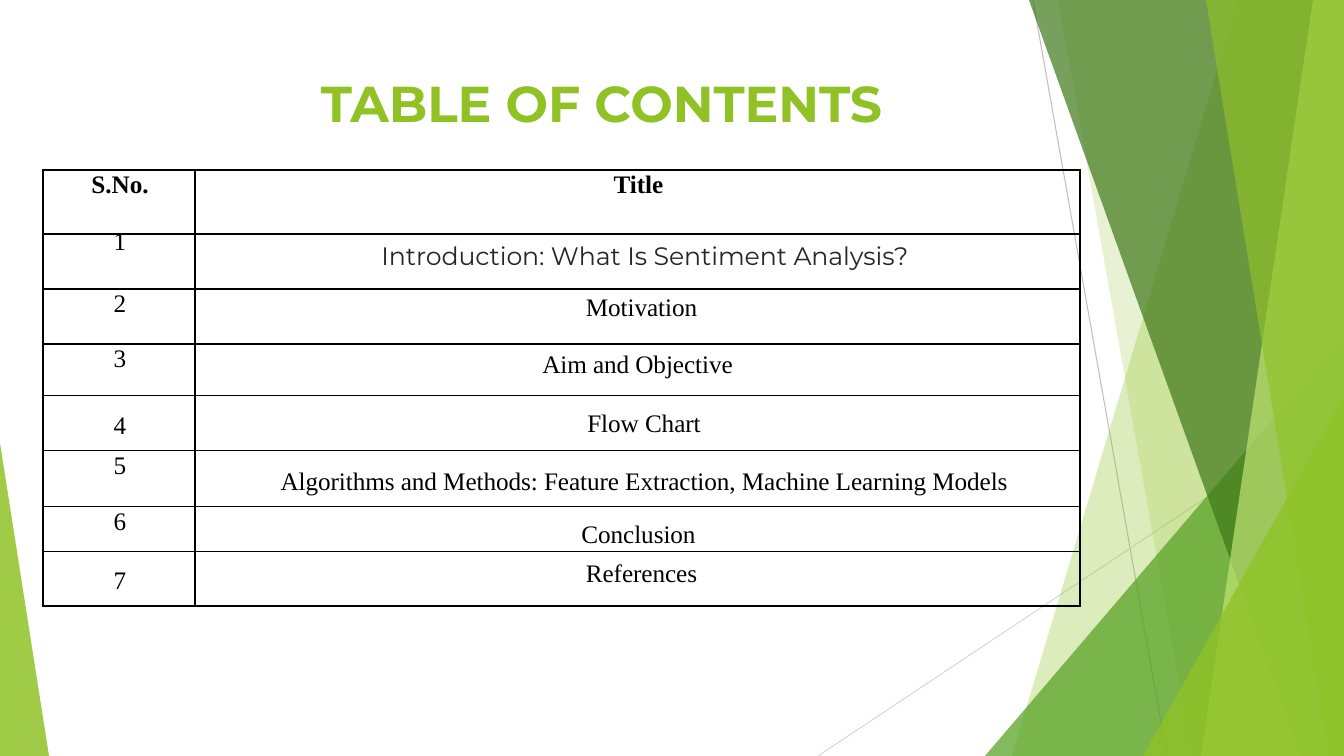
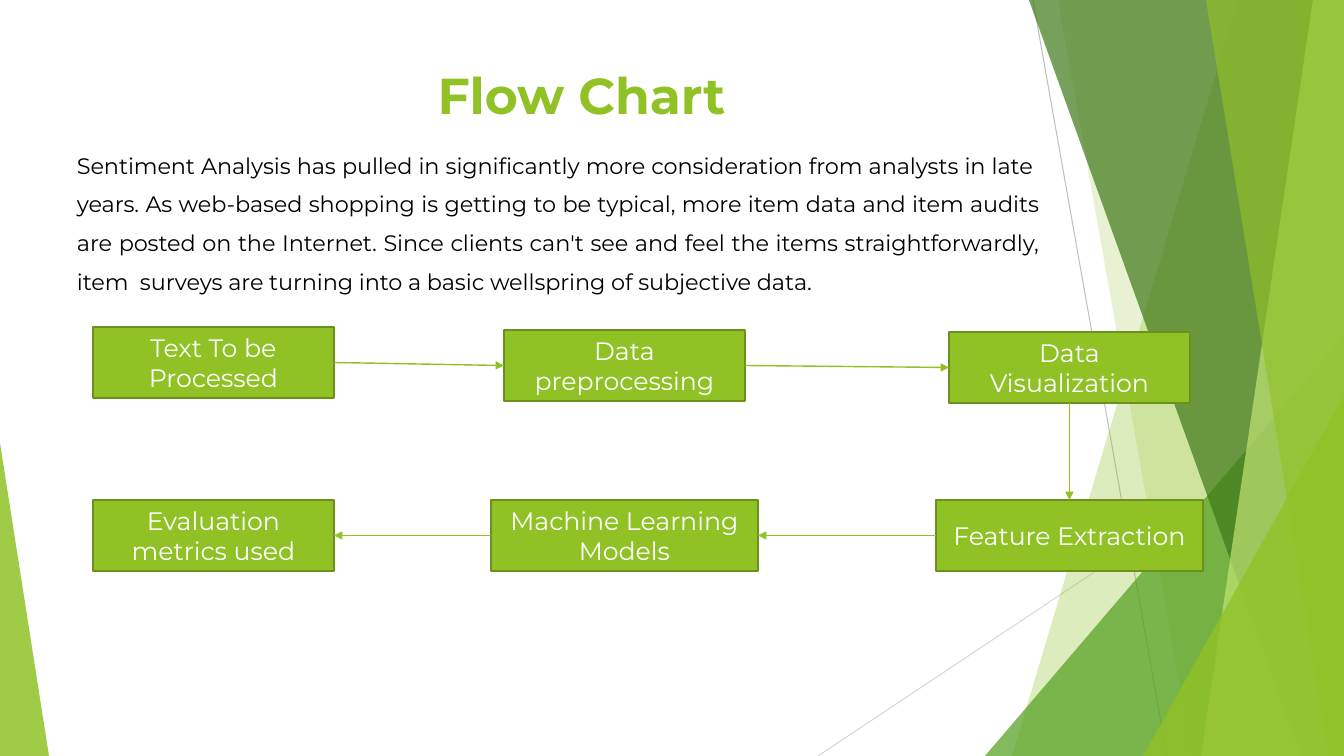
from dataclasses import dataclass
from typing import NamedTuple

from lxml import etree
from pptx import Presentation
from pptx.dml.color import RGBColor
from pptx.enum.shapes import MSO_CONNECTOR, MSO_SHAPE
from pptx.enum.text import MSO_ANCHOR, PP_ALIGN
from pptx.oxml.ns import qn
from pptx.util import Emu, Pt

STRAIGHT = MSO_CONNECTOR.STRAIGHT
RECTANGLE, TRIANGLE = MSO_SHAPE.RECTANGLE, MSO_SHAPE.ISOSCELES_TRIANGLE
CENTER, JUSTIFY = PP_ALIGN.CENTER, PP_ALIGN.JUSTIFY
TOP, MIDDLE = MSO_ANCHOR.TOP, MSO_ANCHOR.MIDDLE
SIDE_TOP, SIDE_LEFT, SIDE_BOTTOM, SIDE_RIGHT = range(4)

PX = 914400 / 100.8
PAGE_WIDTH, PAGE_HEIGHT = 1344, 756


@dataclass(frozen=True)
class Theme:
    accent: str = "90C226"
    accent_dark: str = "6B901C"
    leaf: str = "54A021"
    forest: str = "3F7819"
    lime: str = "C0E474"
    white: str = "FFFFFF"
    ink: str = "000000"
    soft_ink: str = "262626"
    rule_dark: str = "BFBFBF"
    rule_light: str = "D9D9D9"
    sans: str = "Montserrat"
    serif: str = "Times New Roman"
    title_size: int = 36
    body_size: int = 16
    label_size: int = 18
    tight: int = -5


THEME = Theme()


class Box(NamedTuple):
    left: int
    top: int
    width: int
    height: int


class Band(NamedTuple):
    top_x: int
    bottom_x: int
    color: str
    opacity: int


class Wedge(NamedTuple):
    box: Box
    apex: int
    color: str
    opacity: int


FACETS = [
    Band(1238, 1012, THEME.accent, 30),
    Band(1058, 1192, THEME.accent, 20),
    Wedge(Box(985, 336, 359, 420), 1, THEME.leaf, 72),
    Band(1029, 1301, THEME.forest, 70),
    Band(1313, 1201, THEME.lime, 70),
    Band(1206, 1329, THEME.accent, 65),
    Wedge(Box(1143, 396, 201, 360), 1, THEME.accent, 80),
    Wedge(Box(0, 443, 49, 313), 0, THEME.accent, 85),
]

# Row height, title, title's top and left margin
CONTENTS = [
    (55, "Introduction: What Is Sentiment Analysis?", 7, 15),
    (55, "Motivation", 5, 8),
    (52, "Aim and Objective", 7, 0),
    (55, "Flow Chart", 14, 13),
    (56, "Algorithms and Methods: Feature Extraction, Machine Learning Models", 17, 13),
    (44, "Conclusion", 14, 2),
    (55, "References", 9, 8),
]
# Numbers set on exact line spacing, with their top margin
EXACT_NUMBERS = {1: 0, 4: 22, 7: 22}

# Label, middle, top and width of each step, in reading order
STEPS = [
    ("Text To be Processed", 121, 0, 241),
    ("Data preprocessing", 532, 3, 241),
    ("Data Visualization", 977, 5, 241),
    ("Feature Extraction", 977, 173, 267),
    ("Machine Learning Models", 532, 173, 267),
    ("Evaluation metrics used", 121, 173, 241),
]
STEP_HEIGHT = 71
JOINTS = [
    (SIDE_RIGHT, SIDE_LEFT),
    (SIDE_RIGHT, SIDE_LEFT),
    (SIDE_BOTTOM, SIDE_TOP),
    (SIDE_LEFT, SIDE_RIGHT),
    (SIDE_LEFT, SIDE_RIGHT),
]

SUMMARY = (
    "Sentiment Analysis has pulled in significantly more consideration from "
    "analysts in late  years. As web-based shopping is getting to be typical, "
    "more item data and item audits are posted on the Internet. Since clients "
    "can't see and feel the items straightforwardly, item  surveys are turning "
    "into a basic wellspring of subjective data."
)


def px(length):
    return Emu(round(length * PX))


def emu_box(box):
    return [px(length) for length in box]


def write(frame, text, size, color, font=THEME.sans, bold=False,
          align=CENTER, spacing=0):
    frame.word_wrap = True
    frame.text = text
    para = frame.paragraphs[0]
    para.alignment = align
    span = para.runs[0]
    span.font.size = Pt(size)
    span.font.name = font
    span.font.bold = bold
    span.font.color.rgb = RGBColor.from_string(color)
    if spacing:
        span.font._element.set("spc", str(spacing))
    return para


def paint(shape, color, opacity=100):
    shape.shadow.inherit = False
    shape.fill.solid()
    shape.fill.fore_color.rgb = RGBColor.from_string(color)
    shape.line.fill.background()
    if opacity < 100:
        tone = shape._element.spPr.find(qn("a:solidFill"))[0]
        etree.SubElement(tone, qn("a:alpha"), val=str(opacity * 1000))


def add_line(page, start, end, color, width):
    line = page.shapes.add_connector(STRAIGHT, *emu_box(start + end))
    line.line.color.rgb = RGBColor.from_string(color)
    line.line.width = Pt(width)
    etree.SubElement(line._element.spPr, qn("a:effectLst"))
    return line


def add_text(page, box, text, size, color, **style):
    frame = page.shapes.add_textbox(*emu_box(box)).text_frame
    frame.margin_left = frame.margin_right = 0
    frame.margin_top = frame.margin_bottom = 0
    frame.vertical_anchor = TOP
    return write(frame, text, size, color, **style)


def add_backdrop(page, box):
    """Thin rules, then the overlapping green facets."""
    right, bottom = box.left + box.width, box.top + box.height
    add_line(page, (box.left + 1033, box.top), (box.left + 1167, bottom),
             THEME.rule_dark, 0.75)
    add_line(page, (right, box.top + 406), (box.left + 818, bottom),
             THEME.rule_light, 0.75)
    for facet in FACETS:
        if isinstance(facet, Band):
            outline = page.shapes.build_freeform(
                box.left + facet.top_x, box.top, scale=PX)
            outline.add_line_segments(
                [(right, box.top), (right, bottom), (box.left + facet.bottom_x, bottom)])
            shape = outline.convert_to_shape()
        else:
            place = facet.box._replace(left=box.left + facet.box.left,
                                       top=box.top + facet.box.top)
            shape = page.shapes.add_shape(TRIANGLE, *emu_box(place))
            shape.adjustments[0] = facet.apex
        paint(shape, facet.color, facet.opacity)


def add_title(page, box, text):
    add_text(page, box, text, THEME.title_size, THEME.accent,
             bold=True, spacing=THEME.tight)


def add_page(deck, title, title_box):
    page = deck.slides.add_slide(deck.slide_layouts[6])
    add_backdrop(page, Box(0, 0, PAGE_WIDTH, PAGE_HEIGHT))
    add_title(page, title_box, title)
    return page


def outline_cell(cell):
    properties = cell._tc.get_or_add_tcPr()
    for index, side in enumerate(("lnL", "lnR", "lnT", "lnB")):
        edge = etree.Element(qn(f"a:{side}"), w=str(Pt(1)))
        fill = etree.SubElement(edge, qn("a:solidFill"))
        etree.SubElement(fill, qn("a:srgbClr"), val=THEME.ink)
        properties.insert(index, edge)


def fill_cell(cell, text, top, left, color=THEME.ink, font=THEME.serif, bold=False):
    cell.margin_top, cell.margin_left = px(top), px(left)
    cell.margin_right = cell.margin_bottom = 0
    cell.vertical_anchor = TOP
    cell.fill.background()
    outline_cell(cell)
    return write(cell.text_frame, text, THEME.label_size, color,
                 font=font, bold=bold, spacing=THEME.tight)


def add_contents_table(page, box):
    frame = page.shapes.add_table(len(CONTENTS) + 1, 2, *emu_box(box))
    table = frame.table
    table.first_row = table.horz_banding = False
    number_width = 152
    table.columns[0].width = px(number_width)
    table.columns[1].width = px(box.width - number_width)

    # Header row takes the height the entries leave
    table.rows[0].height = px(box.height - sum(entry[0] for entry in CONTENTS))
    for column, heading in enumerate(("S.No.", "Title")):
        fill_cell(table.cell(0, column), heading, 1, 2, bold=True)

    # Numbered entries
    for number, (height, title, top, left) in enumerate(CONTENTS, start=1):
        table.rows[number].height = px(height)
        para = fill_cell(table.cell(number, 0), str(number),
                         EXACT_NUMBERS.get(number, 1), 2)
        if number in EXACT_NUMBERS:
            para.line_spacing = Pt(15.5)
        first = number == 1
        fill_cell(table.cell(number, 1), title, top, left,
                  color=THEME.soft_ink if first else THEME.ink,
                  font=THEME.sans if first else THEME.serif)


def add_summary(page, box):
    para = add_text(page, box, SUMMARY, THEME.body_size, THEME.ink,
                    align=JUSTIFY, spacing=THEME.tight)
    para.line_spacing = 1.44


def add_step(page, box, label):
    step = page.shapes.add_shape(RECTANGLE, *emu_box(box))
    paint(step, THEME.accent)
    step.line.color.rgb = RGBColor.from_string(THEME.accent_dark)
    step.line.width = Pt(1.5)
    step.text_frame.vertical_anchor = MIDDLE
    write(step.text_frame, label, THEME.label_size, THEME.white)
    return step


def add_flow(page, box):
    steps = [
        add_step(page, Box(box.left + middle - width // 2, box.top + top,
                           width, STEP_HEIGHT), label)
        for label, middle, top, width in STEPS
    ]
    # Arrows from each step to the next
    for source, target, (leave, enter) in zip(steps, steps[1:], JOINTS):
        arrow = add_line(page, (0, 0), (0, 0), THEME.accent, 1)
        arrow.begin_connect(source, leave)
        arrow.end_connect(target, enter)
        etree.SubElement(arrow.line._get_or_add_ln(), qn("a:tailEnd"), type="triangle")


def add_contents_page(deck):
    page = add_page(deck, "TABLE OF CONTENTS", Box(75, 72, 1053, 62))
    add_contents_table(page, Box(43, 170, 1037, 436))


def add_flow_page(deck):
    page = add_page(deck, "Flow Chart", Box(75, 64, 1013, 62))
    add_summary(page, Box(77, 140, 963, 158))
    add_flow(page, Box(92, 327, 1111, 244))


def main():
    deck = Presentation()
    deck.slide_width, deck.slide_height = px(PAGE_WIDTH), px(PAGE_HEIGHT)
    add_contents_page(deck)
    add_flow_page(deck)
    deck.save("out.pptx")


if __name__ == "__main__":
    main()
